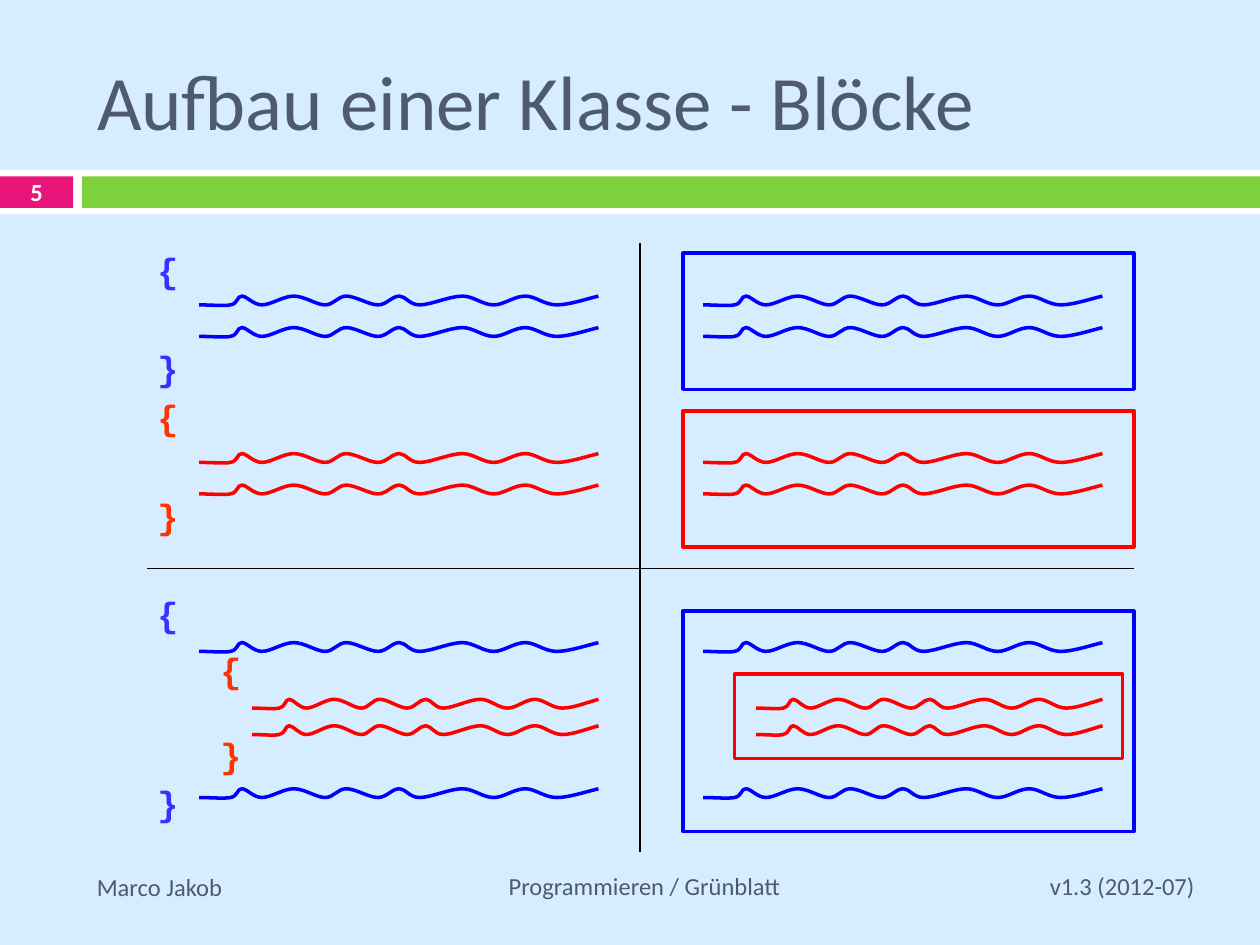
"""Builds the slide on class structure: nested code blocks as braces and as boxes."""
from lxml import etree
from pptx import Presentation
from pptx.dml.color import RGBColor
from pptx.enum.shapes import MSO_CONNECTOR, MSO_SHAPE
from pptx.enum.text import MSO_ANCHOR, MSO_AUTO_SIZE, PP_ALIGN
from pptx.oxml.ns import qn
from pptx.util import Inches, Pt

RECTANGLE, STRAIGHT = MSO_SHAPE.RECTANGLE, MSO_CONNECTOR.STRAIGHT
TOP, MIDDLE = MSO_ANCHOR.TOP, MSO_ANCHOR.MIDDLE
LEFT, CENTER, RIGHT = PP_ALIGN.LEFT, PP_ALIGN.CENTER, PP_ALIGN.RIGHT
NO_AUTOFIT = MSO_AUTO_SIZE.NONE

BLUE, RED = "0000FF", "FF0000"
BRACE_BLUE, BRACE_RED = "3333FF", "FF3300"
SLATE, WHITE, BLACK = "4E5B6F", "FFFFFF", "000000"
WAVE_WIDTH = 3.17
WAVE_START = (0, 0.07)
WAVE_CURVES = [
    (0.1, 0.07), (0.2, 0.08), (0.25, 0.07),
    (0.31, 0.06), (0.3, 0), (0.34, 0),
    (0.38, 0), (0.43, 0.07), (0.5, 0.07),
    (0.57, 0.07), (0.67, 0), (0.75, 0),
    (0.84, 0), (0.93, 0.07), (1, 0.07),
    (1.07, 0.07), (1.1, 0), (1.17, 0),
    (1.24, 0), (1.35, 0.07), (1.42, 0.07),
    (1.49, 0.07), (1.53, 0), (1.59, 0),
    (1.64, 0), (1.67, 0.07), (1.75, 0.07),
    (1.84, 0.07), (1.99, 0), (2.09, 0),
    (2.18, 0), (2.25, 0.07), (2.34, 0.07),
    (2.42, 0.07), (2.5, 0), (2.59, 0),
    (2.67, 0), (2.74, 0.07), (2.84, 0.07),
    (2.93, 0.07), (3.05, 0.03), (WAVE_WIDTH, 0),
]


def color(value):
    """Return the colour for a hex string."""
    return RGBColor.from_string(value)


class SlideBuilder:
    """Holds the text style and the current slide."""

    font = "Calibri"
    code_font = "Courier New"

    def __init__(self, slide, background):
        """Take the slide and paint its background."""
        self.slide = slide
        self.shapes = slide.shapes
        slide.background.fill.solid()
        slide.background.fill.fore_color.rgb = color(background)

    def style(self, paragraph, size, ink, bold=False, font=None):
        """Format the runs of a paragraph."""
        for run in paragraph.runs:
            run.font.name = font or self.font
            run.font.size = Pt(size)
            run.font.bold = bold
            run.font.color.rgb = color(ink)

    def title(self, text, left, top, width, height):
        """Move, fill and format the title placeholder."""
        heading = self.shapes.title
        heading.left, heading.top = Inches(left), Inches(top)
        heading.width, heading.height = Inches(width), Inches(height)
        frame = heading.text_frame
        frame.text = text
        frame.auto_size = NO_AUTOFIT
        frame.vertical_anchor = MIDDLE
        frame.paragraphs[0].alignment = LEFT
        self.style(frame.paragraphs[0], 44, SLATE)

    def frame(self, left, top, width, height, anchor=MIDDLE):
        """Add a wrapping text box and return its text frame."""
        box = self.shapes.add_textbox(Inches(left), Inches(top), Inches(width), Inches(height))
        box.text_frame.word_wrap = True
        box.text_frame.vertical_anchor = anchor
        return box.text_frame

    def label(self, text, left, top, width, height, align, ink=SLATE, bold=False, anchor=MIDDLE):
        """Add a one-line label."""
        frame = self.frame(left, top, width, height, anchor)
        frame.text = text
        frame.paragraphs[0].alignment = align
        self.style(frame.paragraphs[0], 14, ink, bold)

    def braces(self, rows, left, top, width, height):
        """Add a column of braces from (brace, colour, indent, space before)."""
        frame = self.frame(left, top, width, height, TOP)
        frame.margin_left = frame.margin_top = frame.margin_right = frame.margin_bottom = 0
        for index, (brace, ink, indent, gap) in enumerate(rows):
            line = frame.add_paragraph() if index else frame.paragraphs[0]
            line.text = brace
            line.space_before = Pt(gap)
            line._p.get_or_add_pPr().set("marL", str(Inches(indent)))
            self.style(line, 20, ink, True, self.code_font)

    def rectangle(self, left, top, width, height, fill=None, outline=None):
        """Add a filled bar or an outlined box."""
        box = self.shapes.add_shape(
            RECTANGLE, Inches(left), Inches(top), Inches(width), Inches(height))
        self.paint(box, fill, outline)

    def paint(self, shape, fill, outline):
        """Set fill and outline and drop the shadow."""
        shape.shadow.inherit = False
        if fill:
            shape.fill.solid()
            shape.fill.fore_color.rgb = color(fill)
        else:
            shape.fill.background()
        if outline:
            shape.line.color.rgb = color(outline)
            shape.line.width = Pt(2)
        else:
            shape.line.fill.background()

    def wave(self, left, top, ink, width=WAVE_WIDTH):
        """Add a wavy line of code as a chain of cubic curves."""
        start, *points = [(Inches(left + x * width / WAVE_WIDTH), Inches(top + y))
                          for x, y in [WAVE_START, *WAVE_CURVES]]
        builder = self.shapes.build_freeform(*start)
        builder.add_line_segments(points, close=False)
        wave = builder.convert_to_shape()
        segments = list(wave._element.iter(qn("a:lnTo")))
        outline = segments[0].getparent()
        for first in range(0, len(segments), 3):
            curve = etree.SubElement(outline, qn("a:cubicBezTo"))
            for segment in segments[first:first + 3]:
                curve.append(segment[0])
                outline.remove(segment)
        self.paint(wave, None, ink)

    def divider(self, x1, y1, x2, y2):
        """Add a thin straight line."""
        line = self.shapes.add_connector(
            STRAIGHT, Inches(x1), Inches(y1), Inches(x2), Inches(y2))
        line.line.color.rgb = color(BLACK)
        line.line.width = Pt(0.75)
        etree.SubElement(line._element.spPr, qn("a:effectLst"))


def main():
    """Build and save the slide."""
    deck = Presentation()
    deck.slide_width, deck.slide_height = Inches(10), Inches(7.5)
    page = SlideBuilder(deck.slides.add_slide(deck.slide_layouts[5]), "D6ECFF")

    page.rectangle(0, 1.35, 10, 0.35, WHITE)
    page.rectangle(0, 1.4, 0.58, 0.25, "EA157A")
    page.rectangle(0.65, 1.4, 9.35, 0.25, "7FD13B")
    page.title("Aufbau einer Klasse - Blöcke", 0.67, 0.25, 8.92, 1.08)
    page.label("Marco Jakob", 0.67, 6.87, 1.57, 0.34, LEFT, anchor=TOP)
    page.label("v1.3 (2012-07)", 8.01, 6.83, 1.57, 0.4, RIGHT)
    page.label("Programmieren / Grünblatt", 2.32, 6.83, 5.59, 0.4, CENTER)
    page.label("5", 0, 1.31, 0.58, 0.43, CENTER, WHITE, True)

    near, far, inner = 3.6, 32.4, 0.5
    page.braces([
        ("{", BRACE_BLUE, 0, 0), ("}", BRACE_BLUE, 0, far),
        ("{", BRACE_RED, 0, near), ("}", BRACE_RED, 0, far),
        ("{", BRACE_BLUE, 0, far), ("{", BRACE_RED, inner, 7.6),
        ("}", BRACE_RED, inner, 24.8), ("}", BRACE_BLUE, 0, near),
    ], 1.25, 1.97, 3.83, 4.88)

    for column in (1.58, 5.58):
        for top, ink in ((2.35, BLUE), (2.6, BLUE), (3.6, RED), (3.85, RED),
                         (5.1, BLUE), (6.26, BLUE)):
            page.wave(column, top, ink)
        for top in (5.55, 5.76):
            page.wave(column + 0.42, top, RED, 2.75)

    page.divider(1.17, 4.51, 9, 4.51)
    page.divider(5.08, 1.93, 5.08, 6.76)
    for top, height, ink in ((2.01, 1.08, BLUE), (3.26, 1.08, RED), (4.85, 1.75, BLUE)):
        page.rectangle(5.42, top, 3.58, height, outline=ink)
    page.rectangle(5.83, 5.35, 3.08, 0.67, outline=RED)

    deck.save("out.pptx")


if __name__ == "__main__":
    main()
